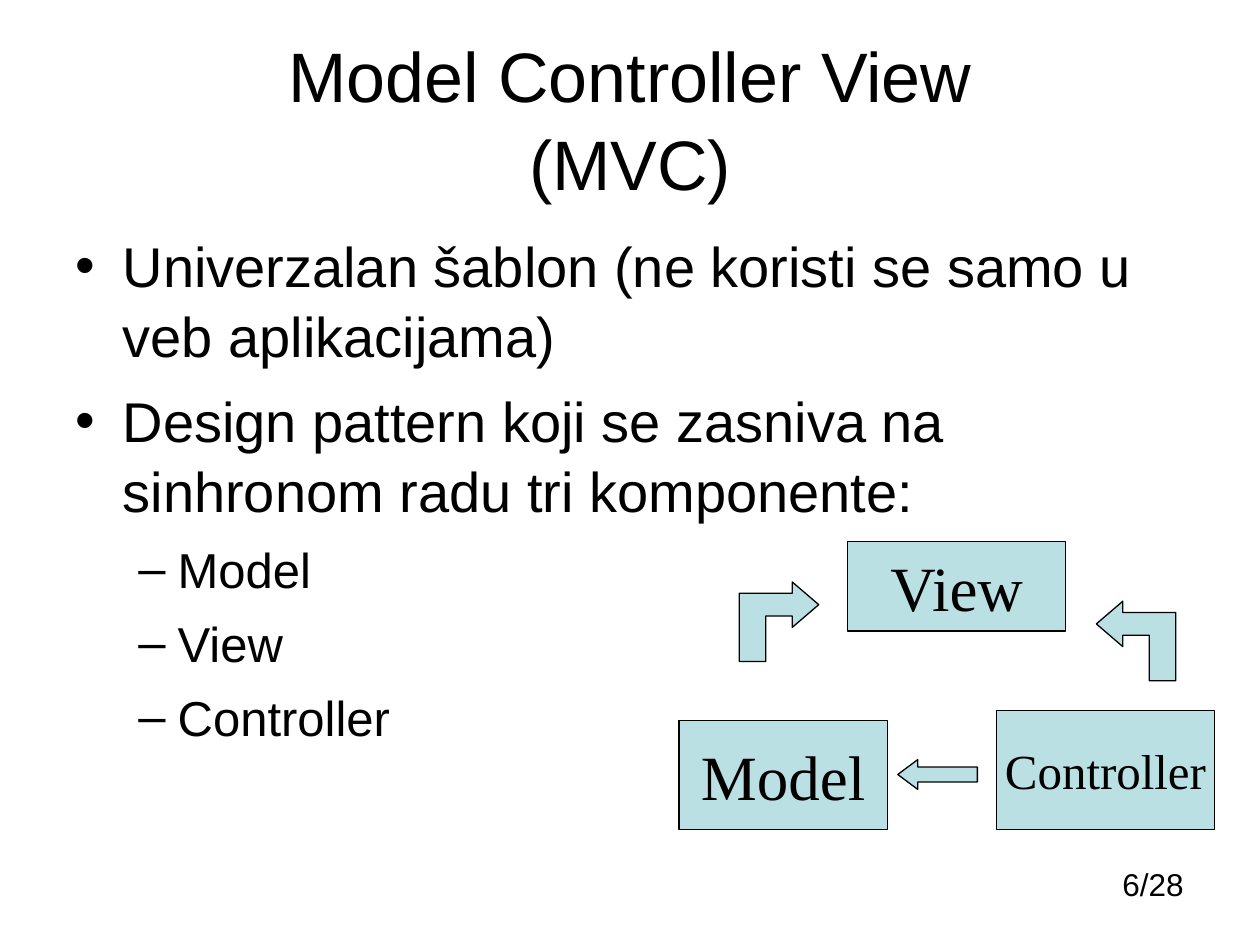
from dataclasses import dataclass

from lxml import etree
from pptx import Presentation
from pptx.dml.color import RGBColor
from pptx.enum.shapes import MSO_SHAPE
from pptx.enum.text import MSO_ANCHOR, PP_ALIGN
from pptx.oxml.ns import qn
from pptx.util import Pt

RECT, LEFT_ARROW = MSO_SHAPE.RECTANGLE, MSO_SHAPE.LEFT_ARROW
TOP, MIDDLE = MSO_ANCHOR.TOP, MSO_ANCHOR.MIDDLE
LEFT, CENTER, RIGHT = PP_ALIGN.LEFT, PP_ALIGN.CENTER, PP_ALIGN.RIGHT


@dataclass(frozen=True)
class Theme:
    ink: RGBColor = RGBColor(0, 0, 0)
    fill: RGBColor = RGBColor(0xBB, 0xE0, 0xE3)
    sans: str = "Arial"
    serif: str = "Times New Roman"
    title: int = 40
    body: int = 32
    sub: int = 28
    box: int = 36
    number: int = 18
    line: float = 0.75
    leading: float = 1.05


THEME = Theme()

# level: bullet, size, left indent, hanging indent, space before
LEVELS = (
    ("•", THEME.body, 27, 27, 8),
    ("–", THEME.sub, 58.5, 22.5, 7),
)
BODY = (
    (0, "Univerzalan šablon (ne koristi se samo u veb aplikacijama)"),
    (0, "Design pattern koji se zasniva na sinhronom radu tri komponente:"),
    (1, "Model"),
    (1, "View"),
    (1, "Controller"),
)
# Bent arrow pointing right, as fractions of its square
BENT_ARROW = (
    (1, 2 / 7), (2 / 3, 4 / 7), (2 / 3, 3 / 7), (1 / 3, 3 / 7), (1 / 3, 1),
    (0, 1), (0, 1 / 7), (2 / 3, 1 / 7), (2 / 3, 0),
)


def set_text(p, text, size, font=THEME.sans, align=LEFT, leading=None):
    p.text = text
    p.alignment = align
    if leading:
        p.line_spacing = leading
    for r in p.runs:
        r.font.size = Pt(size)
        r.font.name = font
        r.font.color.rgb = THEME.ink


def add_frame(slide, x, y, w, h, anchor=TOP):
    tf = slide.shapes.add_textbox(Pt(x), Pt(y), Pt(w), Pt(h)).text_frame
    tf.word_wrap = True
    tf.vertical_anchor = anchor
    return tf


def add_bullet(p, level):
    """Give the paragraph the bullet and hanging indent of its level."""
    char, _, indent, hanging, _ = LEVELS[level]
    pPr = p._p.get_or_add_pPr()
    pPr.set("marL", str(Pt(indent)))
    pPr.set("indent", str(-Pt(hanging)))
    etree.SubElement(pPr, qn("a:buFont")).set("typeface", THEME.sans)
    etree.SubElement(pPr, qn("a:buChar")).set("char", char)


def style_shape(sp):
    sp.shadow.inherit = False
    sp.fill.solid()
    sp.fill.fore_color.rgb = THEME.fill
    sp.line.color.rgb = THEME.ink
    sp.line.width = Pt(THEME.line)


def add_title(slide, x, y, w, h):
    tf = add_frame(slide, x, y, w, h, MIDDLE)
    set_text(tf.paragraphs[0], "Model Controller View\n(MVC)", THEME.title,
             align=CENTER, leading=THEME.leading)


def add_body(slide, x, y, w, h):
    tf = add_frame(slide, x, y, w, h)
    for i, (level, text) in enumerate(BODY):
        p = tf.add_paragraph() if i else tf.paragraphs[0]
        _, size, _, _, before = LEVELS[level]
        p.level = level
        add_bullet(p, level)
        set_text(p, text, size, leading=THEME.leading)
        if i:
            p.space_before = Pt(before)


def add_component(slide, x, y, w, h, name, size):
    sp = slide.shapes.add_shape(RECT, Pt(x), Pt(y), Pt(w), Pt(h))
    style_shape(sp)
    tf = sp.text_frame
    tf.word_wrap = False
    tf.vertical_anchor = MIDDLE
    set_text(tf.paragraphs[0], name, size, font=THEME.serif, align=CENTER)


def add_bent_arrow(slide, x, y, side, mirrored=False):
    points = [(Pt(x + side * (1 - fx if mirrored else fx)), Pt(y + side * fy))
              for fx, fy in BENT_ARROW]
    builder = slide.shapes.build_freeform(*points[0])
    builder.add_line_segments(points[1:], close=True)
    style_shape(builder.convert_to_shape())


def add_diagram(slide, x, y):
    """Place the three components and the arrows between them."""
    add_component(slide, x + 96.5, y, 124.5, 51, "View", THEME.box)
    add_component(slide, x, y + 102, 119, 62.5, "Model", THEME.box)
    add_component(slide, x + 181.5, y + 96.5, 124.5, 68, "Controller", THEME.sub)

    arrow = slide.shapes.add_shape(
        LEFT_ARROW, Pt(x + 125), Pt(y + 124.5), Pt(45.5), Pt(17))
    arrow.adjustments[0] = 0.5
    arrow.adjustments[1] = 0.67
    style_shape(arrow)

    add_bent_arrow(slide, x + 34.5, y + 23, 45.4)
    add_bent_arrow(slide, x + 238.5, y + 34, 45.4, mirrored=True)


def add_page_number(slide, x, y, w, h):
    tf = add_frame(slide, x, y, w, h)
    set_text(tf.paragraphs[0], "6/28", THEME.number, align=RIGHT)


def main():
    prs = Presentation()
    prs.slide_width, prs.slide_height = Pt(720), Pt(540)
    slide = prs.slides.add_slide(prs.slide_layouts[6])
    add_page_number(slide, 541.5, 491, 142, 29)
    add_title(slide, 36, 21.6, 648, 90)
    add_body(slide, 36, 126.7, 648, 330)
    add_diagram(slide, 388, 309.6)
    prs.save("out.pptx")


if __name__ == "__main__":
    main()
